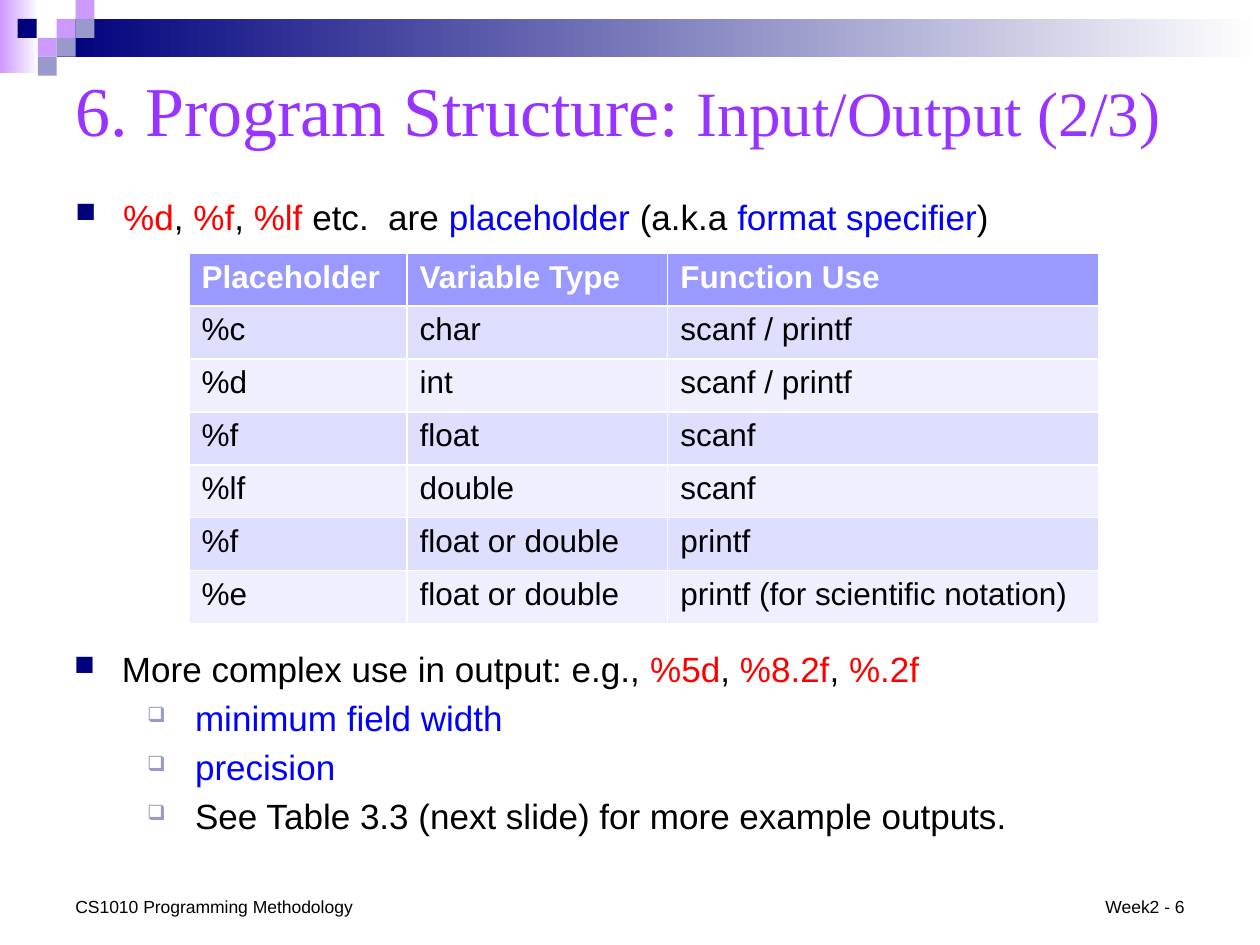
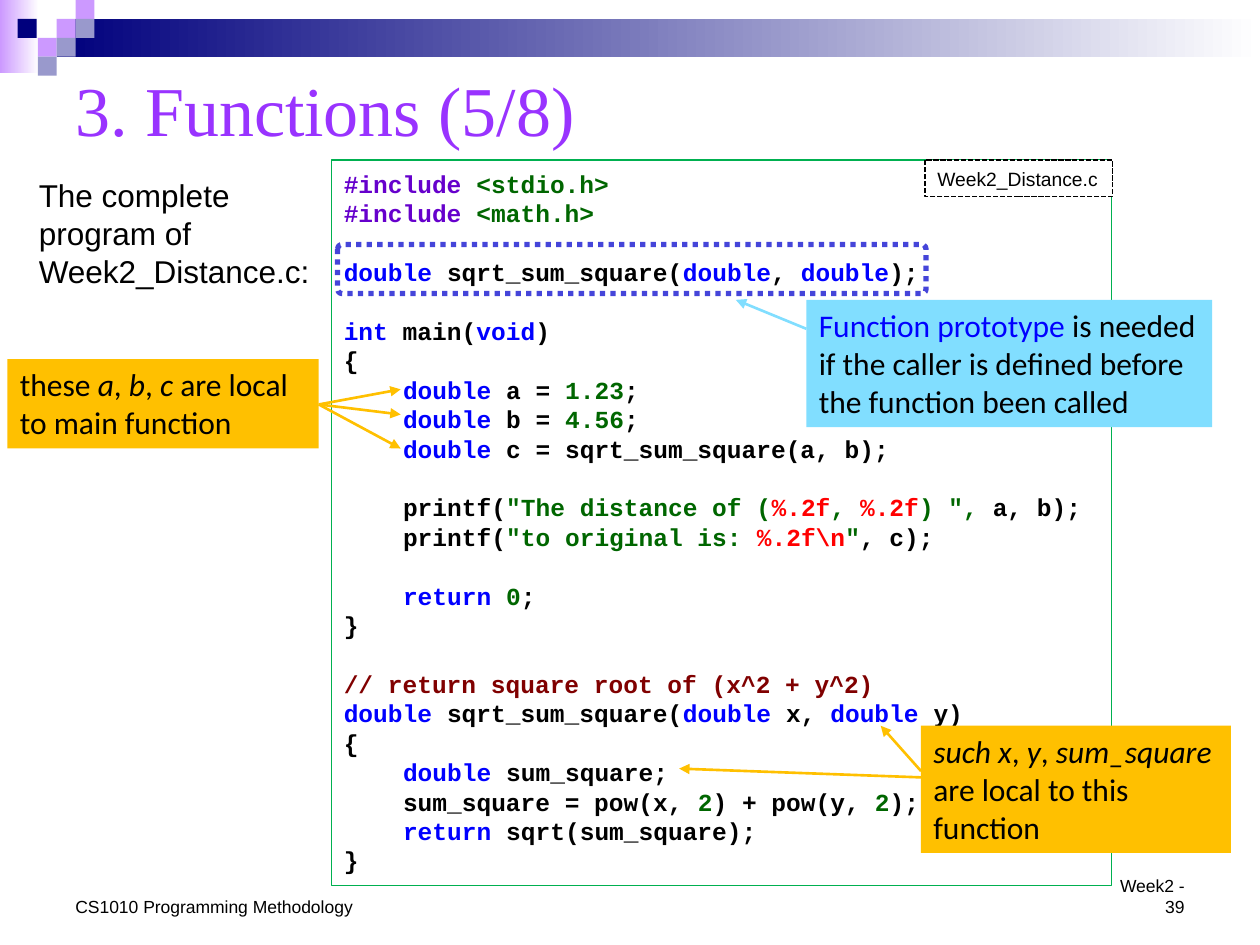
from lxml import etree
from pptx import Presentation
from pptx.dml.color import RGBColor
from pptx.enum.dml import MSO_LINE
from pptx.enum.shapes import MSO_CONNECTOR, MSO_SHAPE
from pptx.enum.text import MSO_ANCHOR, PP_ALIGN
from pptx.oxml.ns import qn
from pptx.util import Inches, Pt

RECT = MSO_SHAPE.RECTANGLE
ROUNDED = MSO_SHAPE.ROUNDED_RECTANGLE
STRAIGHT = MSO_CONNECTOR.STRAIGHT
TOP, MIDDLE, BOTTOM = MSO_ANCHOR.TOP, MSO_ANCHOR.MIDDLE, MSO_ANCHOR.BOTTOM
LEFT, RIGHT = PP_ALIGN.LEFT, PP_ALIGN.RIGHT
DASH, DOT = MSO_LINE.SQUARE_DOT, MSO_LINE.ROUND_DOT

COLORS = {
    "white": "FFFFFF", "black": "000000", "navy": "00007D", "lilac": "CC99FF",
    "slate": "9999CC", "title": "9933FF", "red": "FF0000", "blue": "0000FF",
    "green": "006600", "purple": "6600CC", "maroon": "800000",
    "header": "9999FF", "band_dark": "DEDEFF", "band_light": "EFEFFF",
    "frame": "00B050", "sky": "81DEFF", "amber": "FFC000", "outline": "0000CC",
}

# Each run begins with § and one of these style letters.
RUN_STYLES = {
    "k": {"color": "black"},
    "w": {"color": "white", "bold": True},
    "r": {"color": "red"},
    "b": {"color": "blue"},
    "g": {"color": "green"},
    "p": {"color": "purple"},
    "m": {"color": "maroon"},
    "i": {"color": "black", "italic": True},
    "t": {"color": "title"},
    "s": {"color": "title", "size": Pt(36)},
}

TITLE = {"name": "Times New Roman", "size": Pt(40)}
BODY = {"name": "Arial", "size": Pt(20)}
INTRO = {"name": "Arial", "size": Pt(18)}
FOOTER = {"name": "Arial", "size": Pt(10)}
TAG = {"name": "Arial", "size": Pt(11)}
CALLOUT = {"name": "Calibri", "size": Pt(18)}
CODE = {"name": "Courier New", "size": Pt(14), "bold": True}

BULLETS = [
    {"char": "■", "color": "navy", "percent": 80, "margin": 0.38},
    {"char": "❑", "color": "slate", "percent": 60, "margin": 0.96},
]
HANG = 0.38
CODE_PITCH = 16.8
CODE_INDENT = 0.47

SQUARE = 0.15
MOSAIC = [
    (0.45, 0.15, "lilac"), (0.6, 0, "lilac"), (0.6, 0.15, "slate"),
    (0.3, 0.3, "lilac"), (0.14, 0.15, "navy"), (0.45, 0.3, "slate"),
    (0.3, 0.45, "slate"),
]

PLACEHOLDERS = [
    ("Placeholder", "Variable Type", "Function Use"),
    ("%c", "char", "scanf / printf"),
    ("%d", "int", "scanf / printf"),
    ("%f", "float", "scanf"),
    ("%lf", "double", "scanf"),
    ("%f", "float or double", "printf"),
    ("%e", "float or double", "printf (for scientific notation)"),
]

PROGRAM = [
    [(0, "§p#include §g<stdio.h>"), (0, "§p#include §g<math.h>")],
    [(0, "§bdouble §ksqrt_sum_square(§bdouble§k, §bdouble§k);")],
    [
        (0, "§bint§k main(§bvoid§k)"),
        (0, "§k{"),
        (1, "§bdouble §ka = §g1.23§k;"),
        (1, "§bdouble §kb = §g4.56§k;"),
        (1, "§bdouble §kc = sqrt_sum_square(a, b);"),
    ],
    [
        (1, '§kprintf(§g"The distance of (§r%.2f§g, §r%.2f§g) ", §ka, b);'),
        (1, '§kprintf(§g"to original is: §r%.2f\\n§g"§k, c);'),
    ],
    [(1, "§breturn §g0§k;"), (0, "§k}")],
    [
        (0, "§m// return square root of (x^2 + y^2)"),
        (0, "§bdouble §ksqrt_sum_square(§bdouble§k x, §bdouble§k y)"),
        (0, "§k{"),
        (1, "§bdouble §ksum_square;"),
        (1, "§ksum_square = pow(x, §g2§k) + pow(y, §g2§k);"),
        (1, "§breturn §ksqrt(sum_square);"),
        (0, "§k}"),
    ],
]


def rgb(color):
    return RGBColor.from_string(COLORS[color])


def assign(target, values):
    for key, value in values.items():
        setattr(target, key, value)


class Deck:
    def __init__(self):
        self.prs = Presentation()
        self.prs.slide_width, self.prs.slide_height = Inches(10), Inches(7.5)
        self.slide = None

    def start(self, title, page):
        self.slide = self.prs.slides.add_slide(self.prs.slide_layouts[6])
        self.box((0, 0, 0.31, 0.58), gradient="lilac")
        self.box((0.45, 0.15, 9.55, 0.3), gradient="navy")
        for left, top, color in MOSAIC:
            self.box((left, top, SQUARE, SQUARE), color)
        self.text((0.5, 0.42, 9, 0.88), [title], TITLE, anchor=MIDDLE)
        self.text((0.5, 7.06, 2.42, 0.27), ["§kCS1010 Programming Methodology"],
                  FOOTER, anchor=BOTTOM)
        number = self.text((8.66, 7.06, 0.84, 0.27), [f"§kWeek2 - {page}"], FOOTER,
                           anchor=BOTTOM, alignment=RIGHT, line_spacing=Pt(12))
        number.margin_left = Inches(0.08)

    def box(self, at, fill=None, line=None, kind=RECT, gradient=None):
        shape = self.slide.shapes.add_shape(kind, *map(Inches, at))
        shape.shadow.inherit = False
        if gradient:
            shape.fill.gradient()
            shape.fill.gradient_angle = 0
            for stop, color in zip(shape.fill.gradient_stops, (gradient, "white")):
                stop.color.rgb = rgb(color)
        elif fill:
            shape.fill.solid()
            shape.fill.fore_color.rgb = rgb(fill)
        else:
            shape.fill.background()
        if line:
            color, width, dash = line
            shape.line.color.rgb = rgb(color)
            assign(shape.line, {"width": Pt(width), "dash_style": dash})
        else:
            shape.line.fill.background()
        return shape

    def runs(self, paragraph, marked, font):
        for chunk in marked.split("§")[1:]:
            run = paragraph.add_run()
            run.text = chunk[1:]
            style = {**font, **RUN_STYLES[chunk[0]]}
            run.font.color.rgb = rgb(style.pop("color"))
            assign(run.font, style)

    def fill_text(self, frame, lines, font, anchor=TOP, **layout):
        assign(frame, {"word_wrap": True, "vertical_anchor": anchor})
        paragraphs = []
        for number, marked in enumerate(lines):
            paragraph = frame.add_paragraph() if number else frame.paragraphs[0]
            assign(paragraph, {"alignment": LEFT, **layout})
            self.runs(paragraph, marked, font)
            paragraphs.append(paragraph)
        return paragraphs

    def text(self, at, lines, font, **layout):
        frame = self.slide.shapes.add_textbox(*map(Inches, at)).text_frame
        self.fill_text(frame, lines, font, **layout)
        return frame

    def bullets(self, at, items):
        frame = self.text(at, [marked for _, marked in items], BODY, line_spacing=Pt(24))
        for number, (paragraph, (level, _)) in enumerate(zip(frame.paragraphs, items)):
            paragraph.space_before = Pt(4 if number else 0)
            bullet = BULLETS[level]
            props = paragraph._p.get_or_add_pPr()
            props.set("marL", str(Inches(bullet["margin"])))
            props.set("indent", str(-Inches(HANG)))
            color = etree.SubElement(props, qn("a:buClr"))
            etree.SubElement(color, qn("a:srgbClr"), val=COLORS[bullet["color"]])
            etree.SubElement(props, qn("a:buSzPct"), val=str(bullet["percent"] * 1000))
            etree.SubElement(props, qn("a:buChar"), char=bullet["char"])

    def table(self, at, widths, rows):
        table = self.slide.shapes.add_table(len(rows), len(widths), *map(Inches, at)).table
        for column, width in zip(table.columns, widths):
            column.width = Inches(width)
        for r, values in enumerate(rows):
            band = "header" if r == 0 else "band_dark" if r % 2 else "band_light"
            for c, value in enumerate(values):
                cell = table.cell(r, c)
                cell.fill.solid()
                cell.fill.fore_color.rgb = rgb(band)
                style = "k" if r else "w"
                self.runs(cell.text_frame.paragraphs[0], f"§{style}{value}", INTRO)

    def code(self, at, sections):
        frame = self.box(at, "white", ("frame", 0.75, None)).text_frame
        frame.margin_top = Inches(0.07)
        lines = [line for section in sections for line in section]
        paragraphs = self.fill_text(frame, [marked for _, marked in lines], CODE,
                                    line_spacing=Pt(CODE_PITCH))
        for paragraph, (level, _) in zip(paragraphs, lines):
            paragraph._p.get_or_add_pPr().set("marL", str(Inches(CODE_INDENT * level)))
        first = 0
        for section in sections[:-1]:
            first += len(section)
            paragraphs[first].space_before = Pt(CODE_PITCH)

    def callout(self, at, marked, color, arrows):
        self.fill_text(self.box(at, color).text_frame, [marked], CALLOUT)
        for start, end in arrows:
            self.arrow(start, end, color)

    def arrow(self, start, end, color):
        arrow = self.slide.shapes.add_connector(STRAIGHT, *map(Inches, start + end))
        arrow.line.color.rgb = rgb(color)
        arrow.line.width = Pt(1.5)
        etree.SubElement(arrow.line._get_or_add_ln(), qn("a:tailEnd"), type="triangle")
        etree.SubElement(arrow._element.spPr, qn("a:effectLst"))

    def highlight(self, at):
        outline = self.box(at, line=("outline", 3, DOT), kind=ROUNDED)
        outline.adjustments[0] = 0.09
        color = outline.line._get_or_add_ln().find(".//" + qn("a:srgbClr"))
        etree.SubElement(color, qn("a:alpha"), val="72000")


def input_output(deck):
    deck.start("§t6. Program Structure: §sInput/Output (2/3)", 6)
    deck.table((1.5, 2.01, 7.22, 2.94), (1.73, 2.07, 3.42), PLACEHOLDERS)
    deck.bullets((0.5, 1.5, 9, 0.44), [
        (0, "§r%d§k, §r%f§k, §r%lf §ketc.  are §bplaceholder§k (a.k.a §bformat specifier§k)"),
    ])
    deck.bullets((0.49, 5.09, 9, 1.65), [
        (0, "§kMore complex use in output: e.g., §r%5d§k, §r%8.2f§k, §r%.2f"),
        (1, "§bminimum field width"),
        (1, "§bprecision"),
        (1, "§kSee Table 3.3 (next slide) for more example outputs."),
    ])


def functions(deck):
    deck.start("§t3. Functions (5/8)", 39)
    deck.code((2.63, 1.27, 6.19, 5.76), PROGRAM)
    file_tag = deck.box((7.34, 1.27, 1.49, 0.29), "white", ("black", 1, DASH)).text_frame
    deck.fill_text(file_tag, ["§kWeek2_Distance.c"], TAG, anchor=MIDDLE)
    file_tag.margin_right = Inches(0.05)
    deck.text((0.21, 1.35, 2.4, 1.01), ["§kThe complete program of Week2_Distance.c:"],
              INTRO, line_spacing=Pt(21.7))
    deck.callout((6.4, 2.38, 3.22, 1.01),
                 "§bFunction prototype §kis needed if the caller is defined before "
                 "the function been called",
                 "sky", [((6.4, 2.61), (5.84, 2.38))])
    deck.highlight((2.68, 1.94, 4.67, 0.39))
    deck.callout((0.06, 2.85, 2.47, 0.71),
                 "§kthese §ia§k, §ib§k, §ic§k are local to main function",
                 "amber", [((2.53, 3.21), (3.18, y)) for y in (3.09, 3.29, 3.56)])
    deck.callout((7.31, 5.76, 2.46, 1.01),
                 "§isuch x§k, §iy§k, §isum_square §kare local to this function",
                 "amber", [((7.31, 6.12), (6.99, 5.76)), ((7.31, 6.17), (5.39, 6.1))])


def main():
    deck = Deck()
    input_output(deck)
    functions(deck)
    deck.prs.save("out.pptx")


if __name__ == "__main__":
    main()
